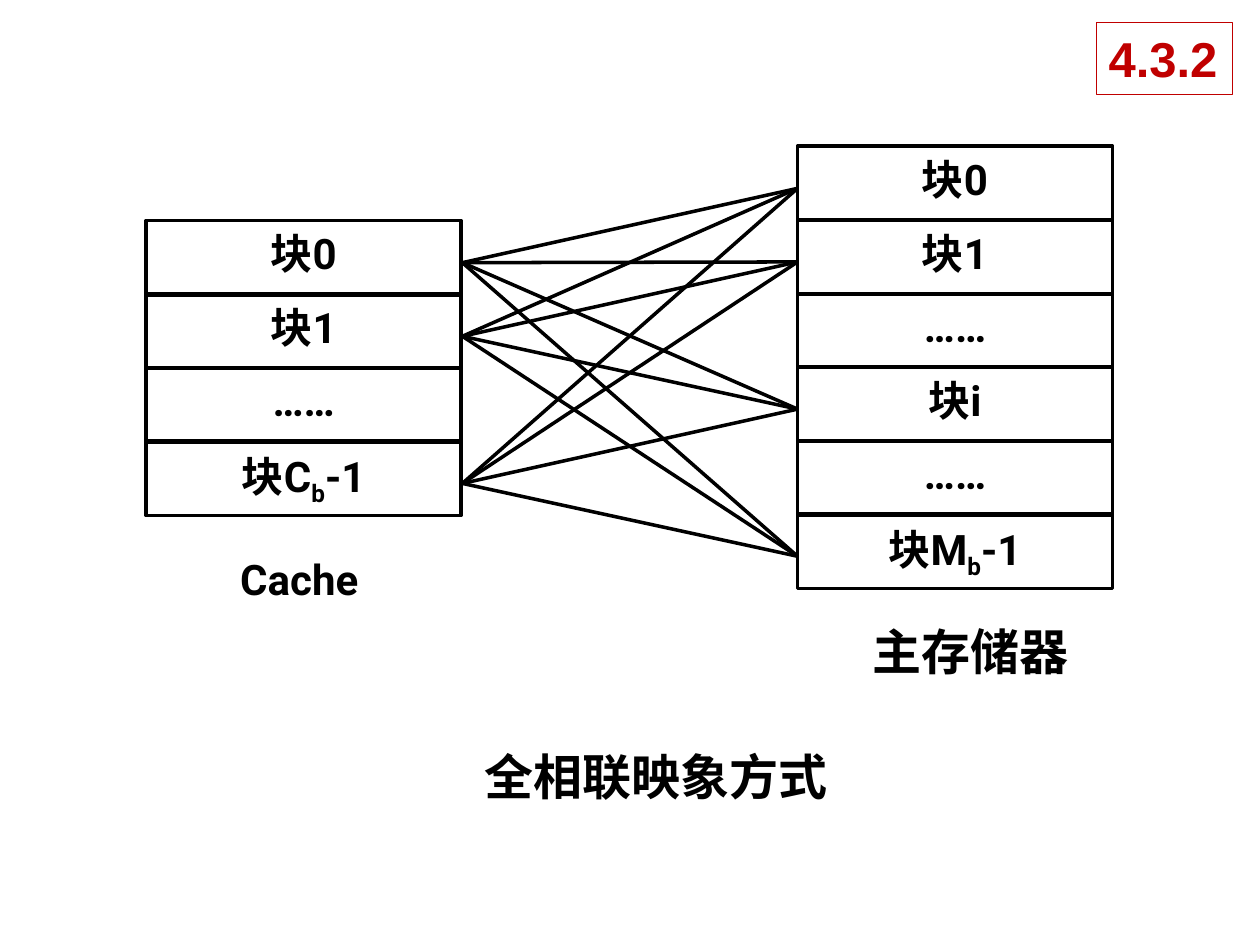
from itertools import product

from lxml import etree
from pptx import Presentation
from pptx.dml.color import RGBColor
from pptx.enum.shapes import MSO_CONNECTOR, MSO_SHAPE
from pptx.enum.text import MSO_ANCHOR, PP_ALIGN
from pptx.oxml.ns import qn
from pptx.util import Inches, Pt

RECTANGLE = MSO_SHAPE.RECTANGLE
STRAIGHT = MSO_CONNECTOR.STRAIGHT
MIDDLE, TOP = MSO_ANCHOR.MIDDLE, MSO_ANCHOR.TOP
CENTER, LEFT = PP_ALIGN.CENTER, PP_ALIGN.LEFT
BLACK, WHITE, RED = "000000", "FFFFFF", "C00000"

# A block is a list of runs; every second run is a subscript.
CACHE_BLOCKS = [["块0"], ["块1"], ["……"], ["块C", "b", "-1"]]
MEMORY_BLOCKS = [["块0"], ["块1"], ["……"], ["块i"], ["……"], ["块M", "b", "-1"]]
ELLIPSIS = ["……"]

CACHE_LEFT, CACHE_TOP = 1.16, 1.75
MEMORY_LEFT, MEMORY_TOP = 6.33, 1.16
BLOCK_WIDTH, BLOCK_HEIGHT, ROW_STEP = 2.5, 0.59, 0.584
LINK_START, LINK_END, LINK_DROP = 3.67, 6.33, 0.335

CAPTIONS = [  # text, (left, top, width, height), size
    ("Cache", (1.5, 4.42, 1.75, 0.42), 24),
    ("主存储器", (6.58, 5, 2.25, 0.42), 28),
    ("全相联映象方式", (2.5, 5.99, 5.41, 0.42), 28),
]
SECTION_NUMBER, SECTION_BOX = "4.3.2", (8.7, 0.18, 1.08, 0.57)


def color(value):
    return RGBColor.from_string(value)


def write(shape, runs, size=24, font="Roboto", text_color=BLACK, align=CENTER,
          anchor=MIDDLE, spacing=0.8, margins=(0.08, 0.04)):
    frame = shape.text_frame
    frame.word_wrap = False
    frame.vertical_anchor = anchor
    frame.margin_left = frame.margin_right = Inches(margins[0])
    frame.margin_top = frame.margin_bottom = Inches(margins[1])
    paragraph = frame.paragraphs[0]
    paragraph.alignment = align
    paragraph.line_spacing = spacing
    for index, text in enumerate(runs):
        run = paragraph.add_run()
        run.text = text
        run.font.size = Pt(size)
        run.font.name = font
        run.font.bold = True
        run.font.color.rgb = color(text_color)
        if index % 2:
            run.font._element.set("baseline", "-25000")


def add_box(slide, area, line_color=BLACK, line_width=2, fill=None):
    shape = slide.shapes.add_shape(RECTANGLE, *map(Inches, area))
    shape.shadow.inherit = False
    if fill:
        shape.fill.solid()
        shape.fill.fore_color.rgb = color(fill)
    else:
        shape.fill.background()
    shape.line.color.rgb = color(line_color)
    shape.line.width = Pt(line_width)
    return shape


def add_blocks(slide, blocks, left, top):
    """Stack the blocks and return the heights where links attach."""
    link_heights = []
    for row, runs in enumerate(blocks):
        row_top = top + row * ROW_STEP
        box = add_box(slide, (left, row_top, BLOCK_WIDTH, BLOCK_HEIGHT))
        write(box, runs)
        if runs != ELLIPSIS:
            link_heights.append(row_top + LINK_DROP)
    return link_heights


def add_link(slide, start_height, end_height):
    ends = (LINK_START, start_height, LINK_END, end_height)
    link = slide.shapes.add_connector(STRAIGHT, *map(Inches, ends))
    link.line.color.rgb = color(BLACK)
    link.line.width = Pt(2)
    etree.SubElement(link._element.spPr, qn("a:effectLst"))


def main():
    presentation = Presentation()
    presentation.slide_width, presentation.slide_height = Inches(10), Inches(7.5)
    slide = presentation.slides.add_slide(presentation.slide_layouts[6])

    cache_links = add_blocks(slide, CACHE_BLOCKS, CACHE_LEFT, CACHE_TOP)
    memory_links = add_blocks(slide, MEMORY_BLOCKS, MEMORY_LEFT, MEMORY_TOP)
    for start_height, end_height in product(cache_links, memory_links):
        add_link(slide, start_height, end_height)

    for text, area, size in CAPTIONS:
        write(slide.shapes.add_textbox(*map(Inches, area)), [text], size=size)

    section = add_box(slide, SECTION_BOX, RED, 0.75, WHITE)
    write(section, [SECTION_NUMBER], size=28, font="Arial", text_color=RED,
          align=LEFT, anchor=TOP, spacing=1.0, margins=(0.1, 0.05))

    presentation.save("out.pptx")


if __name__ == "__main__":
    main()
